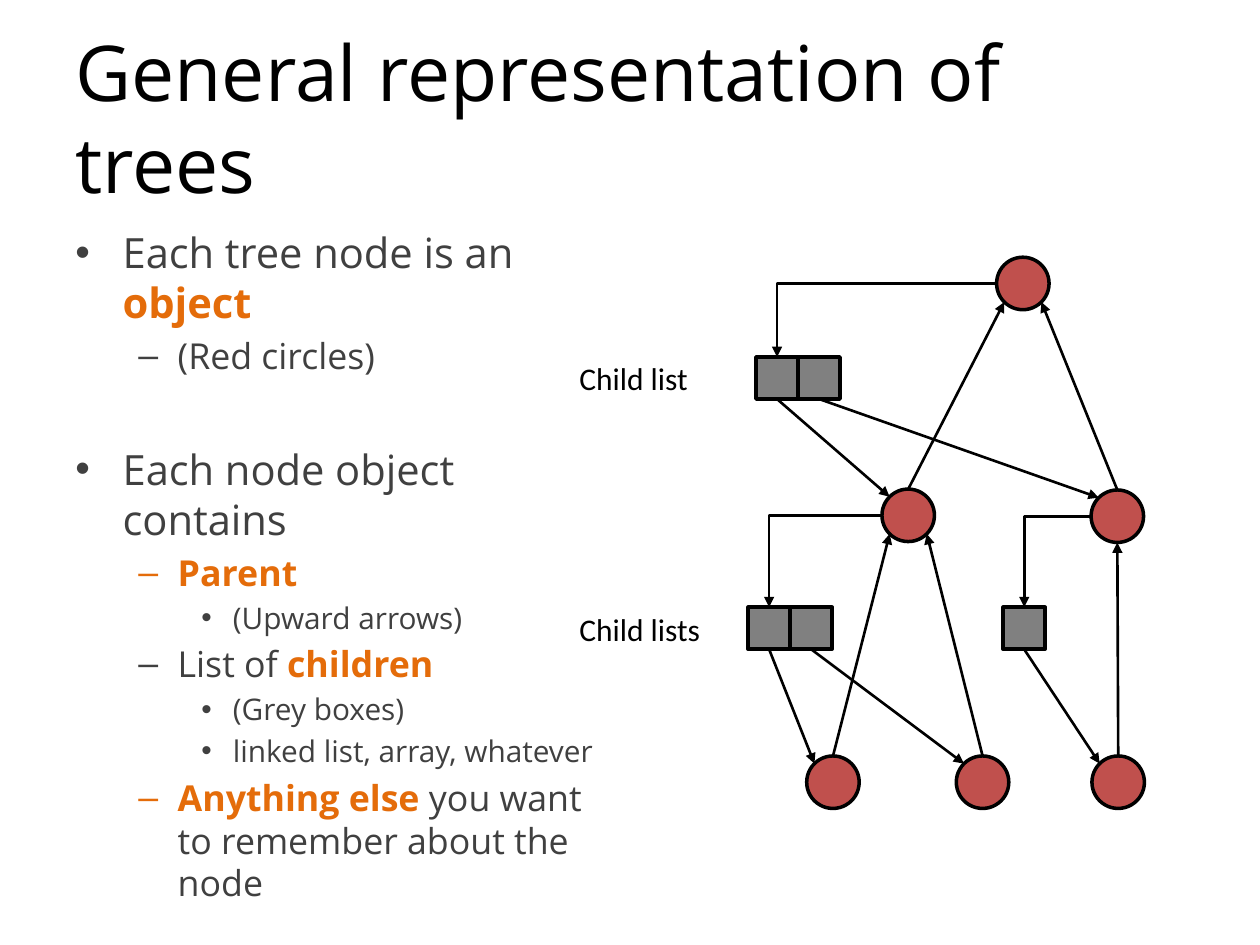
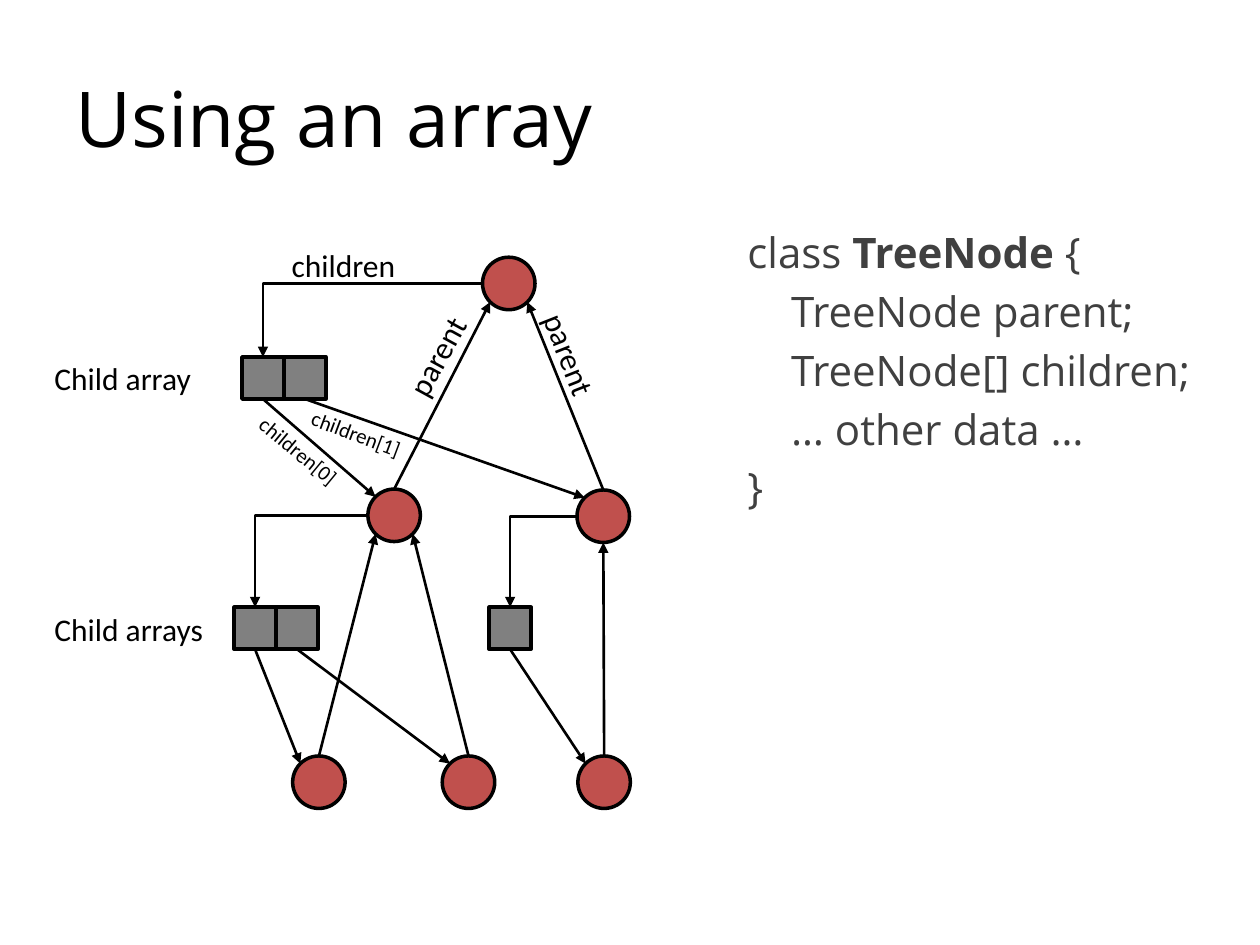
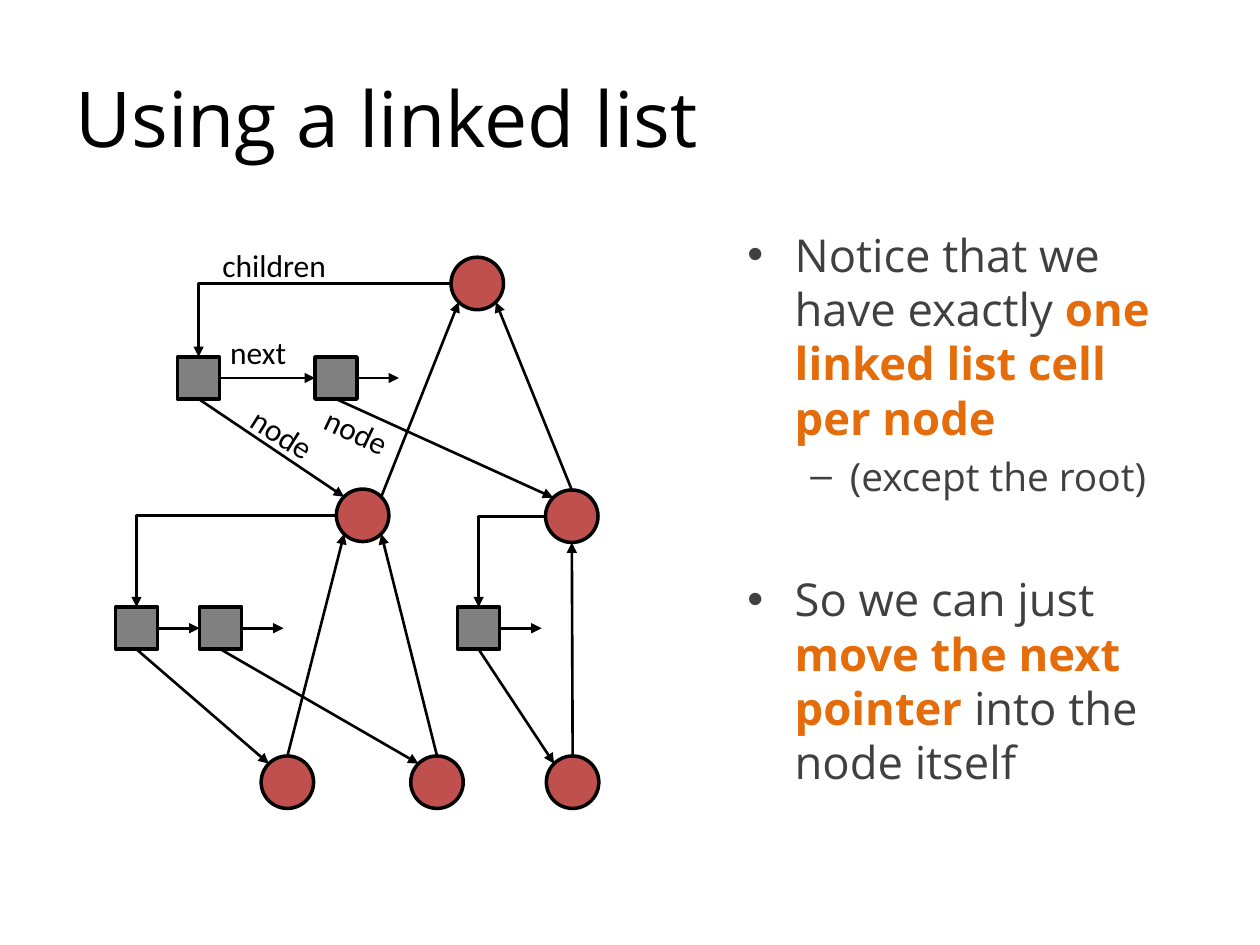
from dataclasses import dataclass
from math import sqrt
from typing import Any, NamedTuple

from lxml import etree
from pptx import Presentation
from pptx import util as u
from pptx.dml.color import RGBColor
from pptx.enum import shapes, text
from pptx.oxml.ns import qn

Pt = u.Pt
BLACK, GREY, RED = "000000", "808080", "C0504D"
BODY_COLOR, ACCENT = "404040", "E46C0A"
BODY_FONT, LABEL_FONT = "Open Sans", "Calibri"
NODE_SIZE, CELL_SIZE, STUB = 30, 24, 24
DIAGONAL = sqrt(0.5)


class Point(NamedTuple):
    x: float
    y: float


class Frame(NamedTuple):
    left: float
    top: float
    width: float
    height: float


class Level(NamedTuple):
    size: float
    margin: float
    indent: float = 0
    bullet: str = ""


@dataclass
class Span:
    text: str
    color: str = BODY_COLOR
    bold: bool = False


@dataclass
class Para:
    level: Level
    spans: list[Span]
    new_section: bool = False


@dataclass
class Label:
    text: str
    frame: Frame
    rotation: float = 0
    size: float = 18


@dataclass
class Tree:
    left: float
    cell_lefts: list[float]
    labels: list[Label]
    left_exit: str = "top"
    linked: bool = False


@dataclass
class Topic:
    title: str
    frame: Frame
    body: list[Para]
    tree: Tree
    scale: float = 1


ITEM = Level(28, 27, -27, "•")
SUBITEM = Level(24, 58.5, -22.5, "–")
DETAIL = Level(20, 90, -18, "•")
CODE = Level(24, 0)
CODE_INNER = Level(24, 25)

TITLE_FRAME = Frame(36, 21.6, 648, 90)
SITES = {
    "top": Point(0, -1),
    "left": Point(-1, 0),
    "bottom": Point(0, 1),
    "top left": Point(-DIAGONAL, -DIAGONAL),
    "top right": Point(DIAGONAL, -DIAGONAL),
    "bottom left": Point(-DIAGONAL, DIAGONAL),
    "bottom right": Point(DIAGONAL, DIAGONAL),
}
NODES = {
    "root": Point(0, 147),
    "leaf 3": Point(54.5, 432),
    "leaf 2": Point(-23, 432),
    "leaf 1": Point(-108.5, 432),
    "right": Point(54, 280),
    "left": Point(-65.5, 279.5),
}
PARENT_LINKS = [
    ("left", "root", "bottom left"),
    ("right", "root", "bottom right"),
    ("leaf 1", "left", "bottom left"),
    ("leaf 2", "left", "bottom right"),
    ("leaf 3", "right", "bottom"),
]
CELL_TOPS = [204, 204, 347, 347, 347]
CELL_TARGETS = ["left", "right", "leaf 1", "leaf 2", "leaf 3"]
LIST_OWNERS = {"root": 0, "left": 2, "right": 4}
NEXT_LINKS = [(0, 1), (2, 3)]
LAST_CELLS = [1, 3, 4]
ARRAY_CELLS = [-137.5, -113.5, -142, -118, 3.75]
LINKED_CELLS = [-156.25, -77.75, -191.75, -143.75, 3.75]


def rgb(color: str) -> RGBColor:
    return RGBColor.from_string(color)


def assign(target: Any, values: dict[str, Any]) -> None:
    for name, value in values.items():
        setattr(target, name, value)


def add_span(para: Any, span: Span, size: float, font: str) -> None:
    run = para.add_run()
    run.text = span.text
    assign(run.font, {"name": font, "size": Pt(size), "bold": span.bold})
    run.font.color.rgb = rgb(span.color)


def add_box(page: Any, frame: Frame, **values: Any) -> Any:
    box = page.shapes.add_textbox(*map(Pt, frame))
    assign(box.text_frame, {"word_wrap": True, **values})
    return box


def add_title(page: Any, title: str) -> None:
    box = add_box(page, TITLE_FRAME, vertical_anchor=text.MSO_ANCHOR.MIDDLE)
    add_span(box.text_frame.paragraphs[0], Span(title, BLACK), 44, BODY_FONT)


def add_body(page: Any, topic: Topic) -> None:
    frame = add_box(page, topic.frame).text_frame
    for index, item in enumerate(topic.body):
        para = frame.add_paragraph() if index else frame.paragraphs[0]
        level = item.level
        size = round(level.size * topic.scale, 1)
        para.space_before = Pt(size * (1.6 if item.new_section else 0.2))
        properties = para._p.get_or_add_pPr()
        properties.set("marL", str(Pt(level.margin)))
        properties.set("indent", str(Pt(level.indent)))
        if level.bullet:
            etree.SubElement(properties, qn("a:buFont"), typeface="Arial")
            etree.SubElement(properties, qn("a:buChar"), char=level.bullet)
        for span in item.spans:
            add_span(para, span, size, BODY_FONT)


def add_label(page: Any, label: Label) -> None:
    box = add_box(page, label.frame, word_wrap=False,
                  auto_size=text.MSO_AUTO_SIZE.SHAPE_TO_FIT_TEXT)
    box.rotation = label.rotation
    add_span(box.text_frame.paragraphs[0], Span(label.text, BLACK), label.size, LABEL_FONT)


def add_solid(page: Any, kind: Any, place: Point, size: float, color: str) -> Any:
    shape = page.shapes.add_shape(kind, *map(Pt, (*place, size, size)))
    shape.shadow.inherit = False
    shape.fill.solid()
    shape.fill.fore_color.rgb = rgb(color)
    shape.line.color.rgb = rgb(BLACK)
    shape.line.width = Pt(2)
    return shape


def add_arrow(page: Any, start: Point, end: Point, bent: bool = False) -> Any:
    kind = shapes.MSO_CONNECTOR.ELBOW if bent else shapes.MSO_CONNECTOR.STRAIGHT
    arrow = page.shapes.add_connector(kind, *map(Pt, (*start, *end)))
    arrow.line.color.rgb = rgb(BLACK)
    arrow.line.width = Pt(1.5)
    properties = arrow._element.spPr
    etree.SubElement(properties.find(qn("a:ln")), qn("a:tailEnd"), type="triangle")
    etree.SubElement(properties, qn("a:effectLst"))
    if bent:
        properties.find(qn("a:prstGeom")).set("prst", "bentConnector2")
        assign(properties.find(qn("a:xfrm")), {"flipH": False, "flipV": True})
        arrow.rotation = 180
    return arrow


def add_tree(page: Any, tree: Tree) -> None:
    nodes = {name: Point(tree.left + x, y) for name, (x, y) in NODES.items()}
    places = [Point(tree.left + x, y) for x, y in zip(tree.cell_lefts, CELL_TOPS)]
    half = CELL_SIZE / 2

    def site(name: str, side: str) -> Point:
        radius = NODE_SIZE / 2
        node, offset = nodes[name], SITES[side]
        return Point(node.x + radius * (1 + offset.x), node.y + radius * (1 + offset.y))

    for place in nodes.values():
        add_solid(page, shapes.MSO_SHAPE.OVAL, place, NODE_SIZE, RED)
    cells = [add_solid(page, shapes.MSO_SHAPE.RECTANGLE, place, CELL_SIZE, GREY)
             for place in places]

    for child, parent, side in PARENT_LINKS:
        leaving = tree.left_exit if child == "left" else "top"
        add_arrow(page, site(child, leaving), site(parent, side))
    for owner, index in LIST_OWNERS.items():
        place = places[index]
        add_arrow(page, site(owner, "left"), Point(place.x + half, place.y), bent=True)
    for cell, place, target in zip(cells, places, CELL_TARGETS):
        start = Point(place.x + half, place.y + CELL_SIZE)
        add_arrow(page, start, site(target, "top left")).begin_connect(cell, 2)

    if tree.linked:
        for first, second in NEXT_LINKS:
            start = Point(places[first].x + CELL_SIZE, places[first].y + half)
            arrow = add_arrow(page, start, Point(places[second].x, start.y))
            arrow.begin_connect(cells[first], 3)
            arrow.end_connect(cells[second], 1)
        for last in LAST_CELLS:
            start = Point(places[last].x + CELL_SIZE, places[last].y + half)
            arrow = add_arrow(page, start, Point(start.x + STUB, start.y))
            arrow.begin_connect(cells[last], 3)

    for label in tree.labels:
        add_label(page, label)


def strong(words: str) -> Span:
    return Span(words, ACCENT, True)


TOPICS = [
    Topic(
        "General representation of trees",
        Frame(36, 126, 318, 372),
        [
            Para(ITEM, [Span("Each tree node is an "), strong("object")]),
            Para(SUBITEM, [Span("(Red circles)")]),
            Para(ITEM, [Span("Each node object contains")], new_section=True),
            Para(SUBITEM, [strong("Parent")]),
            Para(DETAIL, [Span("(Upward arrows)")]),
            Para(SUBITEM, [Span("List of "), strong("children")]),
            Para(DETAIL, [Span("(Grey boxes)")]),
            Para(DETAIL, [Span("linked list, array, whatever")]),
            Para(SUBITEM, [strong("Anything else "),
                           Span("you want to remember about the node")]),
        ],
        Tree(569.5, ARRAY_CELLS, [
            Label("Child list", Frame(324, 201.5, 77, 29)),
            Label("Child lists", Frame(324, 345, 84, 29)),
        ]),
        scale=0.85,
    ),
    Topic(
        "Using an array",
        Frame(420, 126, 276, 210),
        [
            Para(CODE, [Span("class "), Span("TreeNode", bold=True), Span(" {")]),
            Para(CODE_INNER, [Span("TreeNode parent;")]),
            Para(CODE_INNER, [Span("TreeNode[] children;")]),
            Para(CODE_INNER, [Span("… other data …")]),
            Para(CODE, [Span("}")]),
        ],
        Tree(275.75, ARRAY_CELLS, [
            Label("Child array", Frame(24, 201.5, 93.5, 29)),
            Label("Child arrays", Frame(24, 345, 100, 29)),
            Label("children", Frame(159.5, 137, 74, 29)),
            Label("parent", Frame(218, 188.5, 63.5, 29), 298.8),
            Label("parent", Frame(294, 188.5, 63.5, 29), 68.5),
            Label("children[0]", Frame(137, 247, 67.5, 21.5), 39.4, 12),
            Label("children[1]", Frame(170, 237, 67.5, 21.5), 20.6, 12),
        ]),
    ),
    Topic(
        "Using a linked list",
        Frame(420, 126, 264, 300),
        [
            Para(ITEM, [Span("Notice that we have exactly "),
                        strong("one linked list cell per node")]),
            Para(SUBITEM, [Span("(except the root)")]),
            Para(ITEM, [Span("So we can just "), strong("move the next pointer "),
                        Span("into the node itself")], new_section=True),
        ],
        Tree(257.75, LINKED_CELLS, [
            Label("children", Frame(120, 137, 74, 29)),
            Label("node", Frame(135.5, 233.5, 52.5, 29), 32.6),
            Label("node", Frame(178, 232, 52.5, 29), 25.4),
            Label("next", Frame(124.5, 187, 47, 29)),
        ], left_exit="top right", linked=True),
        scale=0.925,
    ),
]


def main() -> None:
    deck = Presentation()
    assign(deck, {"slide_width": Pt(720), "slide_height": Pt(540)})
    for topic in TOPICS:
        page = deck.slides.add_slide(deck.slide_layouts[6])
        add_title(page, topic.title)
        add_body(page, topic)
        add_tree(page, topic.tree)
    deck.save("out.pptx")


if __name__ == "__main__":
    main()
